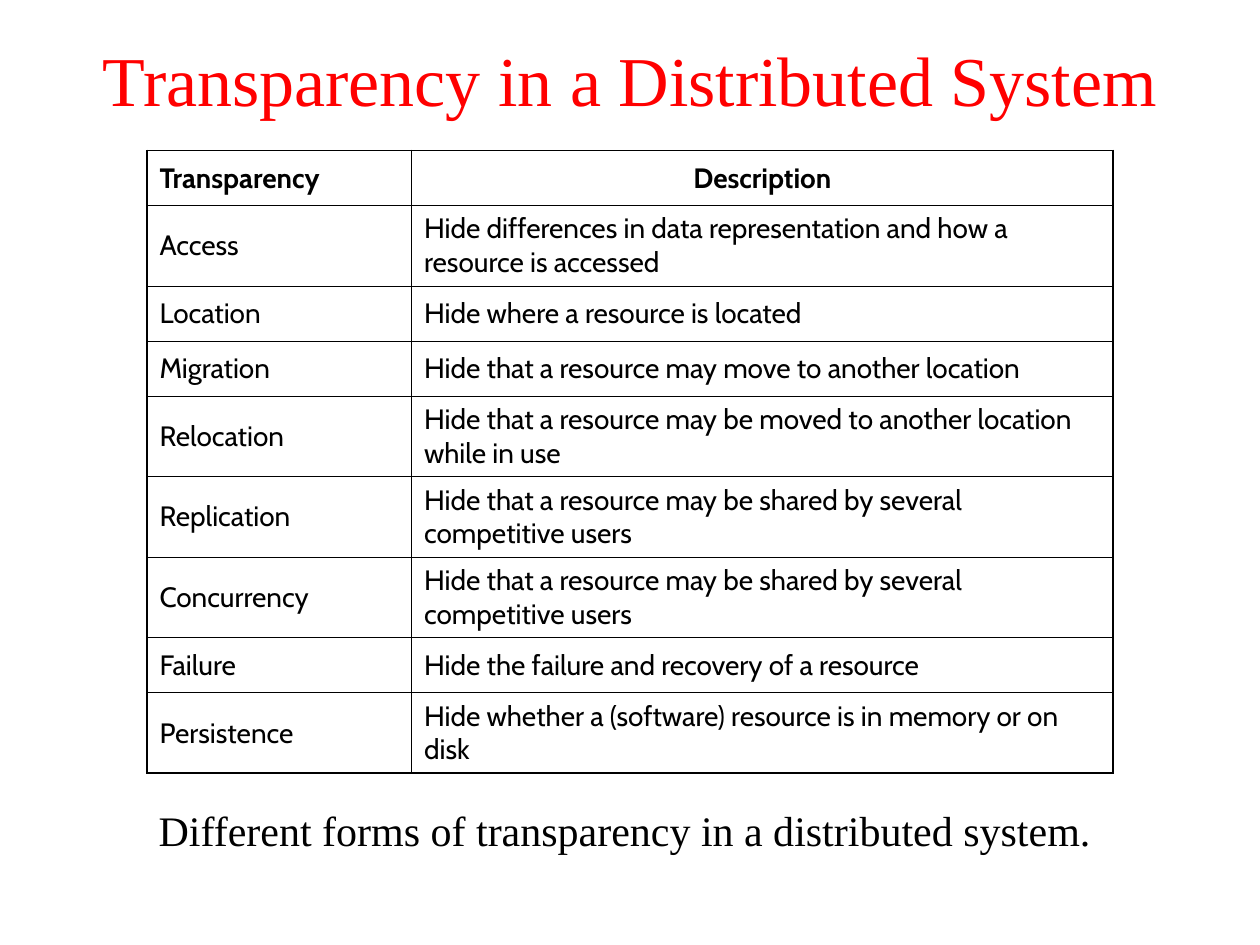
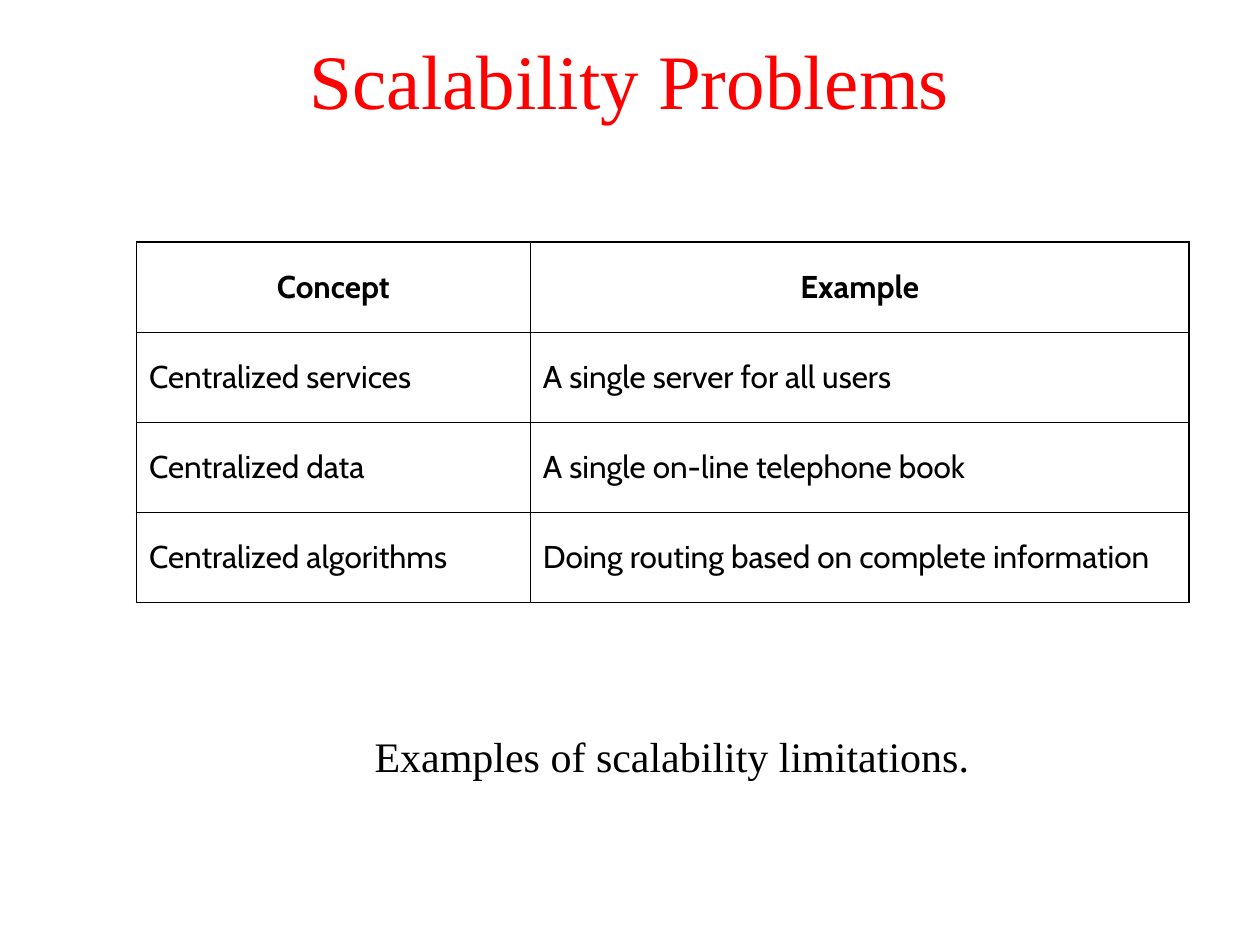
import pptx
import pptx.util
import pptx.dml.color
import pptx.enum.text
import pptx.oxml
import pptx.oxml.ns

Pt = pptx.util.Pt
RGBColor = pptx.dml.color.RGBColor
ALIGN = pptx.enum.text.PP_ALIGN
ANCHOR = pptx.enum.text.MSO_ANCHOR

RED = RGBColor(0xFF, 0x00, 0x00)
BLACK = RGBColor(0x00, 0x00, 0x00)
SERIF, SANS = "Times New Roman", "Cabin"
WIDTH, HEIGHT = 720, 540
TITLE_HEIGHT = 90
CAPTION_HEIGHT = 36
THIN, THICK = 0.45, 1.08
WRAP_AT = 50  # longer descriptions take two lines

TRANSPARENCY_ROWS = [
    ("Transparency", "Description"),
    ("Access", "Hide differences in data representation and how a resource is accessed"),
    ("Location", "Hide where a resource is located"),
    ("Migration", "Hide that a resource may move to another location"),
    ("Relocation", "Hide that a resource may be moved to another location while in use"),
    ("Replication", "Hide that a resource may be shared by several competitive users"),
    ("Concurrency", "Hide that a resource may be shared by several competitive users"),
    ("Failure", "Hide the failure and recovery of a resource"),
    ("Persistence", "Hide whether a (software) resource is in memory or on disk"),
]
SCALABILITY_ROWS = [
    ("Concept", "Example"),
    ("Centralized services", "A single server for all users"),
    ("Centralized data", "A single on-line telephone book"),
    ("Centralized algorithms", "Doing routing based on complete information"),
]

SLIDES = [
    {
        "title": "Transparency in a Distributed System", "title_size": 40,
        "rows": TRANSPARENCY_ROWS, "table_at": (84, 86), "columns": (151.2, 401),
        "row_heights": [46 if len(row[1]) > WRAP_AT else 31.5 for row in TRANSPARENCY_ROWS],
        "cell_size": 16, "header_align": (ALIGN.LEFT, ALIGN.CENTER),
        "caption": "Different forms of transparency in a distributed system.",
        "caption_at": (24, 456, 666),
    },
    {
        "title": "Scalability Problems", "title_size": 44,
        "rows": SCALABILITY_ROWS, "table_at": (78, 138.4), "columns": (225, 376.5),
        "row_heights": [51.5] * len(SCALABILITY_ROWS),
        "cell_size": 18, "header_align": (ALIGN.CENTER, ALIGN.CENTER),
        "caption": "Examples of scalability limitations.",
        "caption_at": (96, 414, 576),
    },
]


def format_text(tf, font, size, color, align, bold=False):
    p = tf.paragraphs[0]
    p.alignment = align
    r = p.runs[0]
    r.font.name = font
    r.font.size = Pt(size)
    r.font.bold = bold
    r.font.color.rgb = color


def add_text(s, text, box, size, color, anchor):
    """Add a centred line of serif text."""
    tf = s.shapes.add_textbox(*map(Pt, box)).text_frame
    tf.word_wrap = True
    tf.vertical_anchor = anchor
    tf.text = text
    format_text(tf, SERIF, size, color, ALIGN.CENTER)


def set_borders(cell, widths):
    """Draw the cell edges; widths are left, right, top, bottom."""
    tc_pr = cell._tc.get_or_add_tcPr()
    for i, (side, width) in enumerate(zip("LRTB", widths)):
        line = pptx.oxml.parse_xml(
            f'<a:ln{side} {pptx.oxml.ns.nsdecls("a")} w="{Pt(width)}">'
            f'<a:solidFill><a:srgbClr val="{BLACK}"/></a:solidFill></a:ln{side}>')
        tc_pr.insert(i, line)


def add_table(s, rows, table_at, columns, row_heights, cell_size, header_align):
    """Add an unfilled grid with a heavier outline and a bold header row."""
    box = (*table_at, sum(columns), sum(row_heights))
    table = s.shapes.add_table(len(rows), len(columns), *map(Pt, box)).table
    table.horz_banding = False
    for column, width in zip(table.columns, columns):
        column.width = Pt(width)
    for row, height in zip(table.rows, row_heights):
        row.height = Pt(height)

    last_row, last_col = len(rows) - 1, len(columns) - 1
    for i, texts in enumerate(rows):
        for j, text in enumerate(texts):
            cell = table.cell(i, j)
            cell.text = text
            cell.vertical_anchor = ANCHOR.MIDDLE
            cell.fill.background()
            header = i == 0
            align = header_align[j] if header else ALIGN.LEFT
            format_text(cell.text_frame, SANS, cell_size, BLACK, align, header)
            outer = (j == 0, j == last_col, header, i == last_row)
            set_borders(cell, [THICK if edge else THIN for edge in outer])


def main():
    prs = pptx.Presentation()
    prs.slide_width, prs.slide_height = Pt(WIDTH), Pt(HEIGHT)
    for content in SLIDES:
        s = prs.slides.add_slide(prs.slide_layouts[6])
        add_text(s, content["title"], (0, 0, WIDTH, TITLE_HEIGHT),
                 content["title_size"], RED, ANCHOR.MIDDLE)
        add_text(s, content["caption"], (*content["caption_at"], CAPTION_HEIGHT),
                 24, BLACK, ANCHOR.TOP)
        add_table(s, content["rows"], content["table_at"], content["columns"],
                  content["row_heights"], content["cell_size"], content["header_align"])
    prs.save("out.pptx")


if __name__ == "__main__":
    main()
